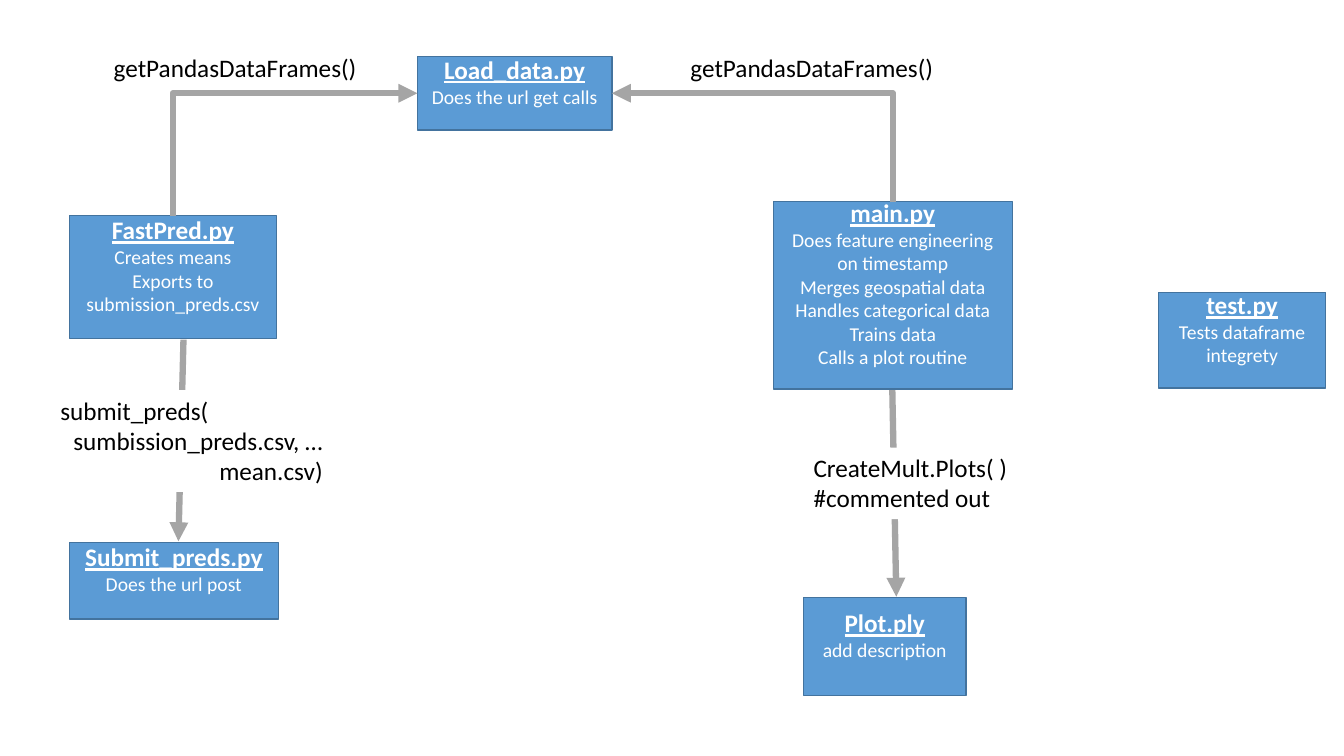
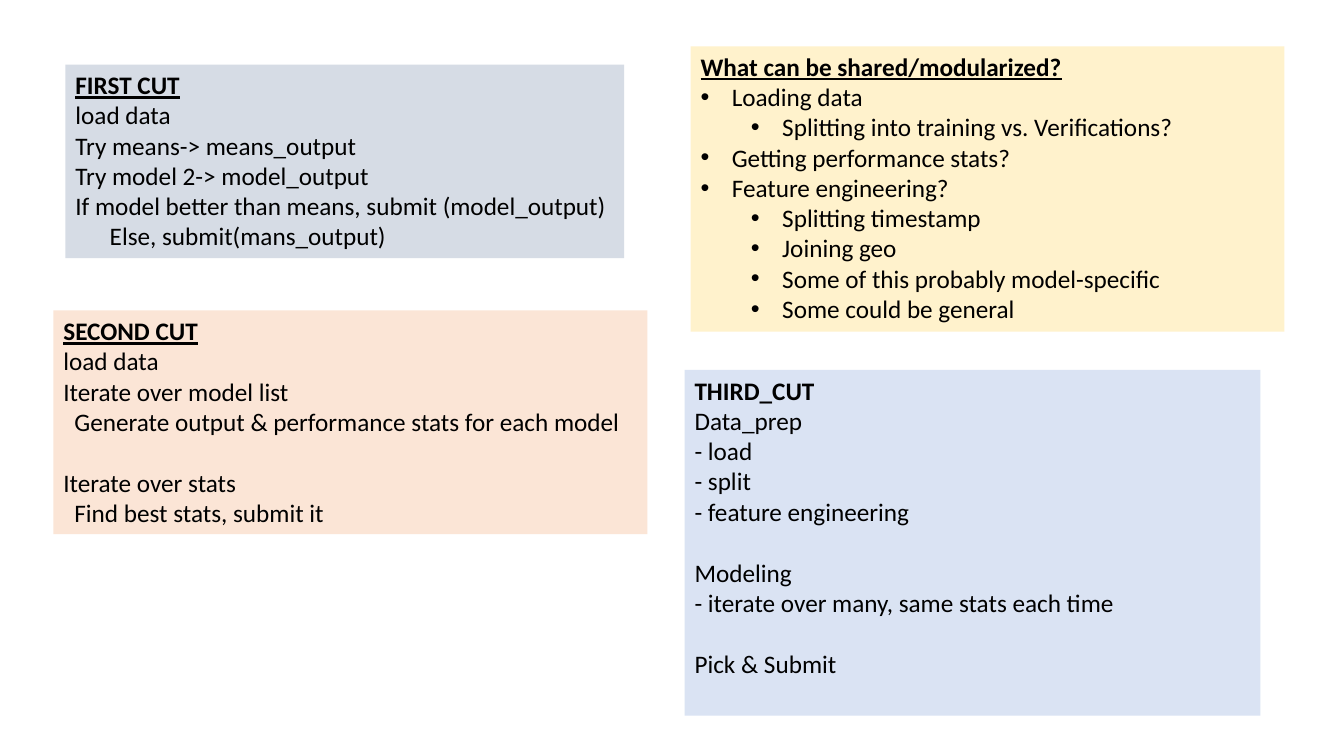
"""Two slides: the module call diagram and the refactoring notes."""
from dataclasses import dataclass

from pptx import Presentation
from pptx.dml.color import RGBColor
from pptx.enum.shapes import MSO_CONNECTOR, MSO_SHAPE
from pptx.enum.text import MSO_ANCHOR, PP_ALIGN
from pptx.oxml.ns import qn
from pptx.shapes.autoshape import Shape
from pptx.shapes.connector import Connector
from pptx.slide import Slide
from pptx.util import Inches, Pt
from lxml import etree

RECTANGLE = MSO_SHAPE.RECTANGLE
STRAIGHT, ELBOW = MSO_CONNECTOR.STRAIGHT, MSO_CONNECTOR.ELBOW
MIDDLE = MSO_ANCHOR.MIDDLE
LEFT, CENTER, RIGHT = PP_ALIGN.LEFT, PP_ALIGN.CENTER, PP_ALIGN.RIGHT
TOP_SITE, LEFT_SITE, RIGHT_SITE = 0, 1, 3

Box = tuple[float, float, float, float]
Point = tuple[float, float]


@dataclass(frozen=True)
class Theme:
    """Colours, type and line sizes of the deck."""
    font: str = "Calibri"
    heading: int = 18
    detail: int = 14
    arrow_width: float = 4.5
    blank_line: int = 22
    module_bottom: float = 0.29
    bullet_hang: float = 0.31
    module: str = "5B9BD5"
    module_edge: str = "43739E"
    arrow: str = "A5A5A5"
    white: str = "FFFFFF"
    black: str = "000000"
    grey: str = "D6DCE5"
    peach: str = "FBE5D6"
    cream: str = "FFF2CC"
    sky: str = "DAE3F3"


THEME = Theme()


@dataclass(frozen=True)
class Module:
    """A script file and what it does."""
    box: Box
    name: str
    duties: tuple[str, ...]


@dataclass(frozen=True)
class Line:
    """One paragraph of a text panel."""
    text: str
    align: PP_ALIGN = LEFT
    indent: float = 0
    level: int = 0
    bullet: bool = False
    gap: bool = False
    bold: bool = False
    underline: bool = False


@dataclass(frozen=True)
class Panel:
    """A filled block of text."""
    box: Box
    fill: str
    lines: tuple[Line, ...]


def title(text: str, underline: bool = True) -> Line:
    """Return a bold panel heading."""
    return Line(text, bold=True, underline=underline)


def bullet(text: str, level: int = 0) -> Line:
    """Return a bulleted line."""
    return Line(text, indent=THEME.bullet_hang + 0.5 * level, level=level, bullet=True)


LOAD_DATA = Module((4.14, 0.56, 1.93, 0.73), "Load_data.py", ("Does the url get calls",))
FAST_PRED = Module((0.69, 2.14, 2.05, 1.22), "FastPred.py",
                   ("Creates means", "Exports to submission_preds.csv"))
MAIN = Module((7.67, 2, 2.37, 1.86), "main.py",
              ("Does feature engineering on timestamp", "Merges geospatial data",
               "Handles categorical data", "Trains data", "Calls a plot routine"))
OTHER_MODULES = (
    Module((0.69, 5.38, 2.07, 0.76), "Submit_preds.py", ("Does the url post",)),
    Module((7.97, 5.93, 1.61, 0.97), "Plot.ply", ("add description",)),
    Module((11.49, 2.9, 1.66, 0.95), "test.py", ("Tests dataframe integrety",)),
)
DOWNWARD_CALLS = (((1.82, 3.37), (1.77, 5.37)), ((8.85, 3.87), (8.89, 5.92)))
CALL_LABELS = (
    Panel((0.5, 3.87, 2.8, 1.01), THEME.white,
          (Line("submit_preds("), Line("sumbission_preds.csv, … mean.csv)", RIGHT))),
    Panel((7.97, 4.44, 2.29, 0.71), THEME.white,
          (Line("CreateMult.Plots( )"), Line("#commented out"))),
    *(Panel((left, 0.47, 2.8, 0.4), THEME.white, (Line("getPandasDataFrames()"),))
      for left in (1.03, 6.75)),
)
CUTS = (
    Panel((0.65, 0.64, 5.54, 1.92), THEME.grey, (
        title("FIRST CUT"), Line("load data"), Line("Try means-> means_output"),
        Line("Try model 2-> model_output"),
        Line("If model better than means, submit (model_output)"),
        Line("Else, submit(mans_output)", indent=0.34))),
    Panel((0.53, 3.08, 5.89, 2.22), THEME.peach, (
        title("SECOND CUT"), Line("load data"), Line("Iterate over model list"),
        Line("Generate output & performance stats for each model", indent=0.11),
        Line("Iterate over stats", gap=True),
        Line("Find best stats, submit it", indent=0.11))),
    Panel((6.85, 0.46, 5.89, 2.83), THEME.cream, (
        title("What can be shared/modularized?"), bullet("Loading data"),
        bullet("Splitting into training vs. Verifications?", 1),
        bullet("Getting performance stats?"), bullet("Feature engineering?"),
        bullet("Splitting timestamp", 1), bullet("Joining geo", 1),
        bullet("Some of this probably model-specific", 1),
        bullet("Some could be general", 1))),
    Panel((6.79, 3.67, 5.71, 3.43), THEME.sky, (
        title("THIRD_CUT", underline=False), Line("Data_prep"), Line("- load"),
        Line("- split"), Line("- feature engineering"), Line("Modeling", gap=True),
        Line("- iterate over many, same stats each time"),
        Line("Pick & Submit", gap=True))),
)


def rgb(colour: str) -> RGBColor:
    """Turn a hex string into a colour."""
    return RGBColor.from_string(colour)


def style_runs(paragraph, size: int, colour: str, bold: bool, underline: bool) -> None:
    """Format every run of a paragraph."""
    for run in paragraph.runs:
        run.font.name = THEME.font
        run.font.size = Pt(size)
        run.font.color.rgb = rgb(colour)
        run.font.bold = bold
        run.font.underline = underline


def indent_line(paragraph, line: Line) -> None:
    """Apply a line's indent and bullet."""
    properties = paragraph._p.get_or_add_pPr()
    properties.set("marL", str(Inches(line.indent)))
    if line.bullet:
        properties.set("indent", str(-Inches(THEME.bullet_hang)))
        etree.SubElement(properties, qn("a:buFont")).set("typeface", "Arial")
        etree.SubElement(properties, qn("a:buChar")).set("char", "•")


def draw_module(slide: Slide, module: Module) -> Shape:
    """Draw a module box with its name and duties."""
    block = slide.shapes.add_shape(RECTANGLE, *map(Inches, module.box))
    block.shadow.inherit = False
    block.fill.solid()
    block.fill.fore_color.rgb = rgb(THEME.module)
    block.line.color.rgb = rgb(THEME.module_edge)
    block.line.width = Pt(1)
    frame = block.text_frame
    frame.word_wrap = True
    frame.vertical_anchor = MIDDLE
    frame.margin_bottom = Inches(THEME.module_bottom)
    frame.text = "\n".join((module.name, *module.duties))
    for order, paragraph in enumerate(frame.paragraphs):
        is_name = order == 0
        paragraph.alignment = CENTER
        style_runs(paragraph, THEME.heading if is_name else THEME.detail,
                   THEME.white, is_name, is_name)
    return block


def draw_panel(slide: Slide, panel: Panel) -> None:
    """Draw a filled text panel."""
    block = slide.shapes.add_textbox(*map(Inches, panel.box))
    block.fill.solid()
    block.fill.fore_color.rgb = rgb(panel.fill)
    frame = block.text_frame
    frame.word_wrap = True
    frame.text = "\n".join(line.text for line in panel.lines)
    for paragraph, line in zip(frame.paragraphs, panel.lines):
        paragraph.alignment = line.align
        paragraph.level = line.level
        if line.gap:
            paragraph.space_before = Pt(THEME.blank_line)
        if line.indent:
            indent_line(paragraph, line)
        style_runs(paragraph, THEME.heading, THEME.black, line.bold, line.underline)


def style_arrow(arrow: Connector, tip: str) -> None:
    """Colour a connector and put a triangle on the given end."""
    arrow.line.color.rgb = rgb(THEME.arrow)
    arrow.line.width = Pt(THEME.arrow_width)
    etree.SubElement(arrow.line._get_or_add_ln(), qn(tip)).set("type", "triangle")
    etree.SubElement(arrow._element.spPr, qn("a:effectLst"))


def draw_call(slide: Slide, start: Point, end: Point) -> None:
    """Draw a straight arrow from caller to callee."""
    arrow = slide.shapes.add_connector(STRAIGHT, *map(Inches, (*start, *end)))
    style_arrow(arrow, "a:tailEnd")


def draw_load_call(slide: Slide, loader: Shape, side: int, caller: Shape) -> None:
    """Join the loader's side to the caller's top with one right angle."""
    arrow = slide.shapes.add_connector(ELBOW, 0, 0, 0, 0)
    arrow.begin_connect(loader, side)
    arrow.end_connect(caller, TOP_SITE)
    arrow._element.spPr.find(qn("a:prstGeom")).set("prst", "bentConnector2")
    style_arrow(arrow, "a:headEnd")


def build_diagram(slide: Slide) -> None:
    """Build the module call diagram."""
    loader, fast_pred, main_module = (
        draw_module(slide, module) for module in (LOAD_DATA, FAST_PRED, MAIN))
    for module in OTHER_MODULES:
        draw_module(slide, module)
    for start, end in DOWNWARD_CALLS:
        draw_call(slide, start, end)
    draw_load_call(slide, loader, LEFT_SITE, fast_pred)
    draw_load_call(slide, loader, RIGHT_SITE, main_module)
    for label in CALL_LABELS:
        draw_panel(slide, label)


def build_cuts(slide: Slide) -> None:
    """Build the notes on successive cuts."""
    for cut in CUTS:
        draw_panel(slide, cut)


def main() -> None:
    """Build and save the deck."""
    deck = Presentation()
    deck.slide_width, deck.slide_height = Inches(13.33), Inches(7.5)
    blank = deck.slide_layouts[6]
    for build in (build_diagram, build_cuts):
        build(deck.slides.add_slide(blank))
    deck.save("out.pptx")


main()
